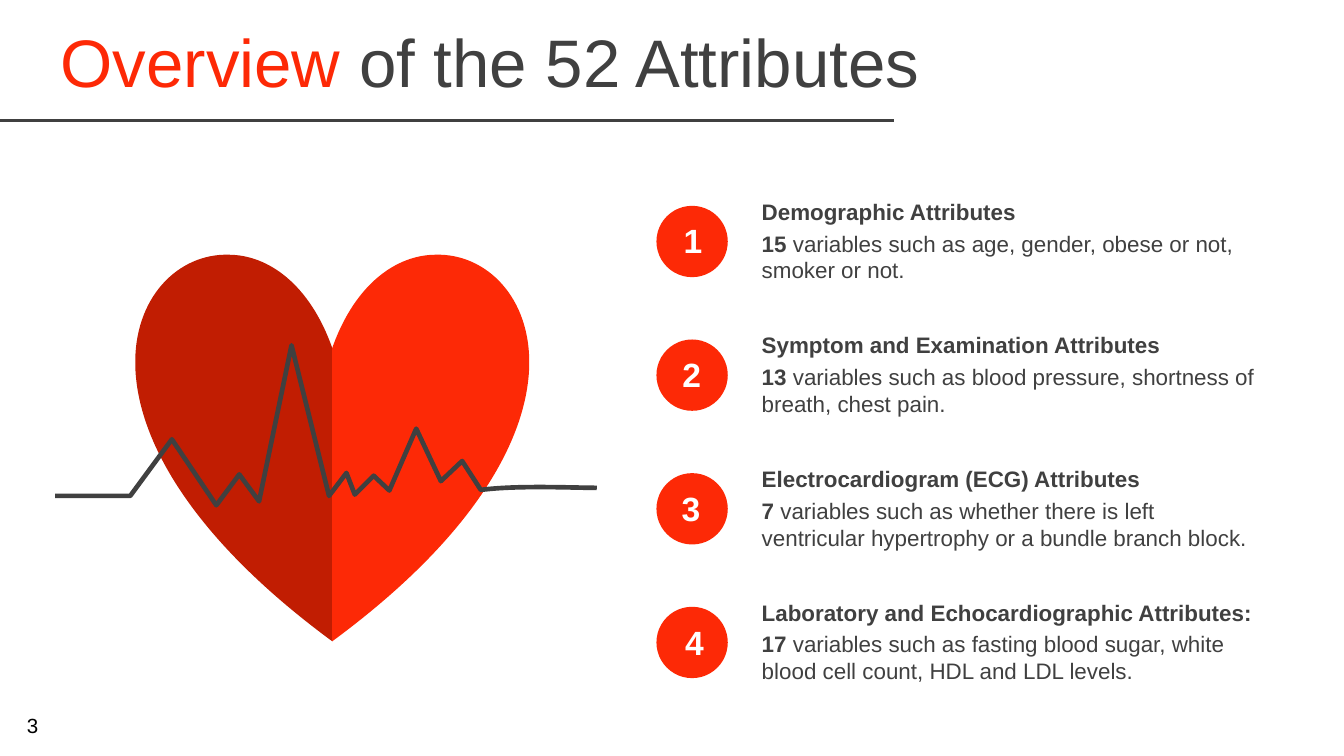
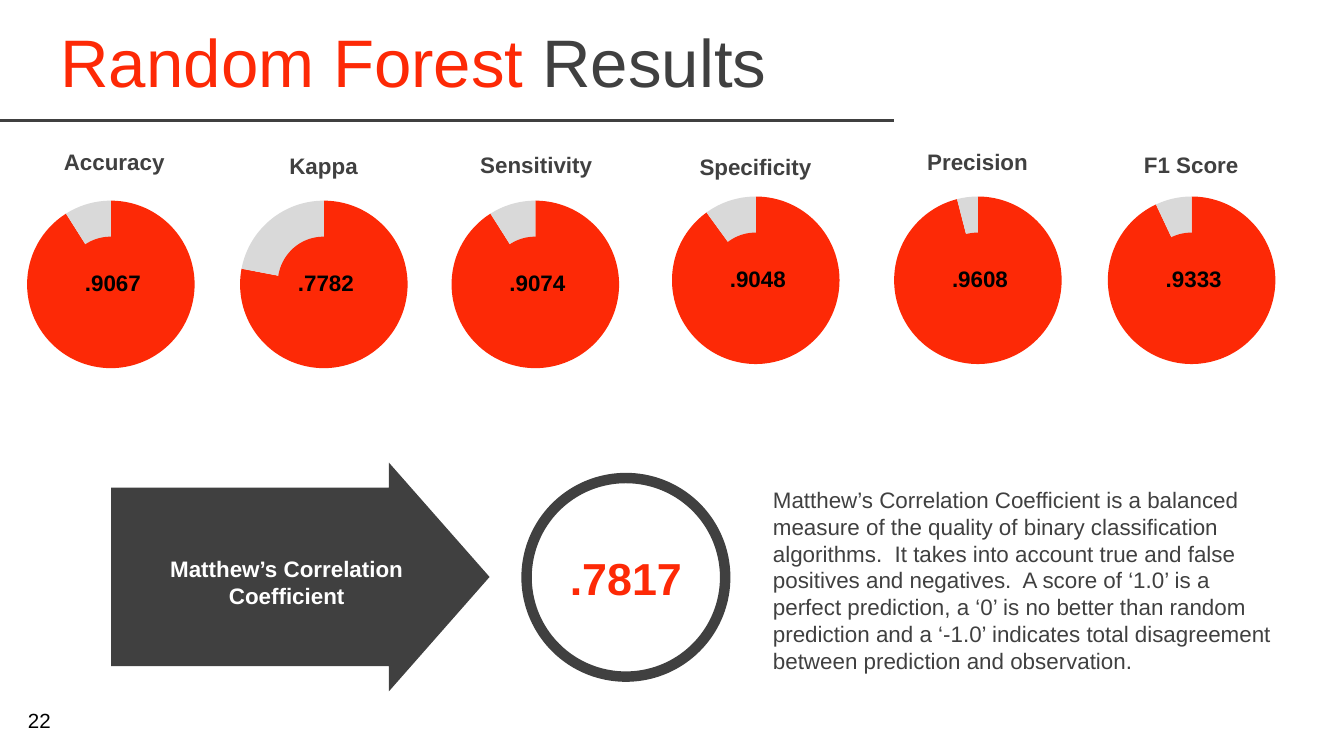
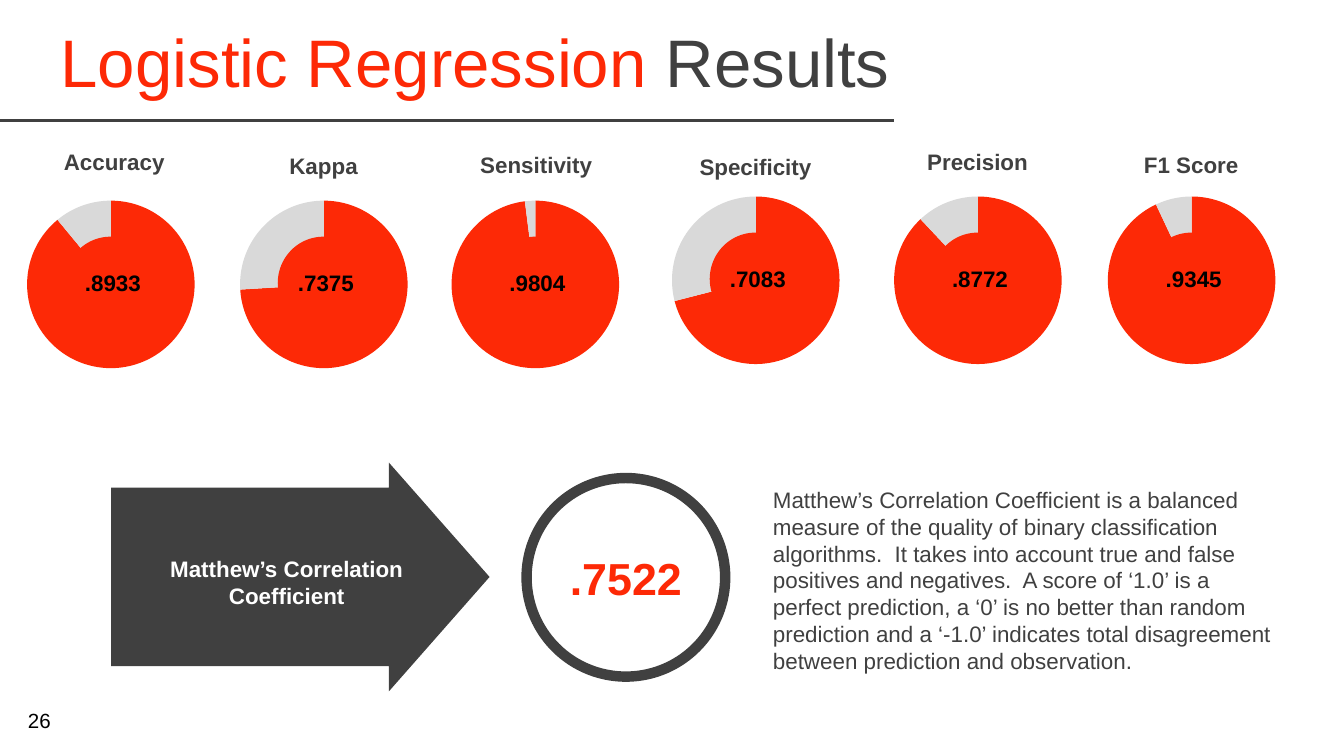
from lxml import etree
from pptx import Presentation
from pptx.chart import data
from pptx.dml.color import RGBColor
from pptx.enum import chart as kinds, shapes, text
from pptx.oxml import ns, parse_xml
from pptx.util import Pt

FONT = "Arial"
RED, DEEP, DARK = "FD2906", "C11D02", "404040"
PALE, WHITE, BLACK = "D9D9D9", "FFFFFF", "000000"
LEFT, MID = text.PP_ALIGN.LEFT, text.PP_ALIGN.CENTER
TOP, HALF = text.MSO_ANCHOR.TOP, text.MSO_ANCHOR.MIDDLE
hue = RGBColor.from_string


def write(shape, parts, size, align=LEFT, anchor=TOP):
    """Fill a shape with one paragraph of (text, colour, bold) parts."""
    frame = shape.text_frame
    frame.word_wrap = True
    frame.auto_size = text.MSO_AUTO_SIZE.NONE
    frame.vertical_anchor = anchor
    para = frame.paragraphs[0]
    para.alignment = align
    for words, tone, bold in parts:
        run = para.add_run()
        run.text = words
        run.font.name, run.font.size, run.font.bold = FONT, Pt(size), bold
        run.font.color.rgb = hue(tone)


def paint(shape, tone):
    """Give a shape a flat fill with no outline and no shadow."""
    shape.shadow.inherit = False
    shape.fill.solid()
    shape.fill.fore_color.rgb = hue(tone)
    shape.line.fill.background()


deck = Presentation()
deck.slide_width, deck.slide_height = Pt(720), Pt(405)
base = deck.slide_layouts[5]

# Two-colour title and page number
heads = [
    ("Overview ", "of the 52 Attributes", 481.7, "3", (7.3, 378.3, 18, 20.2)),
    ("Random Forest ", "Results", 453.6, "22", (7.9, 375.8, 28, 20.9)),
    ("Logistic Regression ", "Results", 465.1, "26", (7.9, 375.8, 28, 20.9)),
]
slides = []
for lead, rest, wide, page, box in heads:
    slide = deck.slides.add_slide(base)
    title = slide.shapes.title
    title.left, title.top, title.width, title.height = map(Pt, (25.2, 9.7, wide, 45.4))
    write(title, [(lead, RED, False), (rest, DARK, False)], 36, LEFT, HALF)
    foot = slide.shapes.add_textbox(*map(Pt, box))
    write(foot, [(page, BLACK, False)], 11)
    slides.append(slide)

# Rule under the title, moved to the shared layout
pool = slides[0].shapes
rule = pool.add_connector(
    shapes.MSO_CONNECTOR.STRAIGHT, Pt(-0.7), Pt(64.4), Pt(478.8), Pt(64.4))
rule.line.color.rgb = hue(DARK)
rule.line.width = Pt(1.5)
etree.SubElement(rule.element.spPr, ns.qn("a:effectLst"))
base.shapes.element.append(rule.element)

# Heart halves, mirrored about the axis; bends lists the lines to curve
axis = 178
bends = []
for side, tone in ((-1, DEEP), (1, RED)):
    start, lobe, flank, tip, c1, c2, c3, c4 = [
        (Pt(axis + side * x), Pt(y)) for x, y in (
            (0, 186.5), (55.6, 136.5), (106, 195), (0, 343.6),
            (12.2, 152), (34.6, 136.5), (109, 135.1), (153.8, 230.4))]
    pen = pool.build_freeform(*start)
    pen.add_line_segments([lobe, flank, tip], close=True)
    half = pen.convert_to_shape()
    paint(half, tone)
    # The flank only sets the width of the outline
    spare = half.element.findall(".//" + ns.qn("a:lnTo"))[1]
    spare.getparent().remove(spare)
    bends += [(half, 0, (c1, c2, lobe)), (half, 1, (c3, c4, tip))]

# Pulse line
beat = [
    (29.5, 265.7), (69.8, 265.7), (92.1, 235.4), (115.9, 270.7), (128.2, 254.2),
    (138.8, 268.6), (156.2, 185), (176.3, 265.7), (185.6, 253.4), (190.1, 265),
    (200.2, 254.9), (208.6, 262.8), (223, 229.7), (236.2, 257.8), (247.6, 247),
    (257.6, 262.5), (319.7, 261.4),
]
dots = [(Pt(x), Pt(y)) for x, y in beat]
pen = pool.build_freeform(*dots[0])
pen.add_line_segments(dots[1:], close=False)
pulse = pen.convert_to_shape()
pulse.shadow.inherit = False
pulse.fill.background()
pulse.line.color.rgb = hue(DARK)
pulse.line.width = Pt(2.5)
bends.append((pulse, -1, ((Pt(277.2), Pt(259.9)), (Pt(307.4), Pt(261.4)), dots[-1])))

# Turn the listed straight lines into Bezier curves
for shape, spot, knots in bends:
    lines = [part for part in shape.element.find(".//" + ns.qn("a:path"))
             if part.tag in (ns.qn("a:lnTo"), ns.qn("a:cubicBezTo"))]
    curve = etree.Element(ns.qn("a:cubicBezTo"))
    for x, y in knots:
        etree.SubElement(curve, ns.qn("a:pt"),
                         x=str(x - shape.left), y=str(y - shape.top))
    lines[spot].getparent().replace(lines[spot], curve)

# Numbered attribute groups
groups = [
    ("Demographic Attributes", "15",
     " variables such as age, gender, obese or not, smoker or not.", 349.6),
    ("Symptom and Examination Attributes", "13",
     " variables such as blood pressure, shortness of breath, chest pain.", 349),
    ("Electrocardiogram (ECG) Attributes", "7",
     " variables such as whether there is left ventricular hypertrophy"
     " or a bundle branch block.", 348.6),
    ("Laboratory and Echocardiographic Attributes:", "17",
     " variables such as fasting blood sugar, white blood cell count,"
     " HDL and LDL levels.", 350.5),
]
for i, (name, count, note, x) in enumerate(groups):
    y = 110.3 + 71.6 * i
    body = pool.add_textbox(Pt(401), Pt(y + 9.2), Pt(279.4), Pt(36.4))
    write(body, [(count, DARK, True), (note, DARK, False)], 12)
    head = pool.add_textbox(Pt(401), Pt(y - 7.8), Pt(279.4), Pt(21.8))
    write(head, [(name, DARK, True)], 12)
    disc = pool.add_shape(shapes.MSO_SHAPE.OVAL, Pt(351.7), Pt(y), Pt(38.2), Pt(38.2))
    paint(disc, RED)
    mark = pool.add_textbox(Pt(x), Pt(114.2 + 71.8 * i), Pt(43.2), Pt(29.1))
    write(mark, [(str(i + 1), WHITE, True)], 18, MID)

# Result slides: six gauges above, correlation coefficient below
gauges = [  # label, label left, label top, label width, chart left, chart top
    ("Accuracy", 24.7, 75.6, 73, 14.5, 105.9),
    ("Kappa", 140.2, 77.8, 66.4, 128.6, 105.9),
    ("Sensitivity", 248, 77.6, 78.5, 241.9, 105.9),
    ("Specificity", 365.5, 78.5, 78.5, 360, 103.7),
    ("Precision", 487.2, 75.6, 73, 479, 103.7),
    ("F1 Score", 605, 77.6, 66.4, 593.5, 103.7),
]
scores = [
    ([".9067", ".7782", ".9074", ".9048", ".9608", ".9333"], ".7817"),
    ([".8933", ".7375", ".9804", ".7083", ".8772", ".9345"], ".7522"),
]
about = (
    "Matthew’s Correlation Coefficient is a balanced measure of the quality of binary "
    "classification algorithms.  It takes into account true and false positives and "
    "negatives.  A score of ‘1.0’ is a perfect prediction, a ‘0’ is no better than "
    "random prediction and a ‘-1.0’ indicates total disagreement between prediction "
    "and observation."
)
layout = (
    f'<c:layout {ns.nsdecls("c")}><c:manualLayout><c:layoutTarget val="inner"/>'
    '<c:xMode val="edge"/><c:yMode val="edge"/><c:x val="0"/><c:y val="0"/>'
    '<c:w val="1"/><c:h val="0.965"/></c:manualLayout></c:layout>'
)
for slide, (values, total) in zip(slides[1:], scores):
    pool = slide.shapes

    # Coefficient arrow, ring and explanation
    arrow = pool.add_shape(
        shapes.MSO_SHAPE.RIGHT_ARROW, Pt(59.5), Pt(247.8), Pt(202.8), Pt(122.6))
    arrow.adjustments[0], arrow.adjustments[1] = 0.78, 0.44
    paint(arrow, DARK)
    name = pool.add_textbox(Pt(76.6), Pt(293.7), Pt(154.1), Pt(36.4))
    write(name, [("Matthew’s Correlation Coefficient", WHITE, True)], 12, MID)
    ring = pool.add_shape(
        shapes.MSO_SHAPE.DONUT, Pt(279.3), Pt(253.3), Pt(112), Pt(112))
    ring.adjustments[0] = 0.05
    paint(ring, DARK)
    score = pool.add_textbox(Pt(294.6), Pt(291.2), Pt(81.4), Pt(36.4))
    write(score, [(total, RED, True)], 24, MID, HALF)
    note = pool.add_textbox(Pt(407), Pt(256.8), Pt(285.1), Pt(108.7))
    write(note, [(about, DARK, False)], 12)

    # Gauges
    for (label, left, high, wide, x, y), value in zip(gauges, values):
        share = round(float(value) * 100)
        table = data.CategoryChartData()
        table.categories = ["1", "2"]
        table.add_series("Series 1", (share, 100 - share))
        chart = pool.add_chart(
            kinds.XL_CHART_TYPE.DOUGHNUT, Pt(x), Pt(y), Pt(89.8), Pt(96.4), table).chart
        chart.has_title = chart.has_legend = False
        chart.font.name, chart.font.size = FONT, Pt(18)
        chart.font.color.rgb = hue(BLACK)
        plot = chart.plots[0]
        plot.vary_by_categories = True
        for i, tone in enumerate((RED, PALE)):
            part = plot.series[0].points[i].format
            part.fill.solid()
            part.fill.fore_color.rgb = hue(tone)
            part.line.fill.background()
        area = chart.element.find(".//" + ns.qn("c:plotArea"))
        for old in area.findall(ns.qn("c:layout")):
            area.remove(old)
        area.insert(0, parse_xml(layout))
        area.find(".//" + ns.qn("c:holeSize")).set("val", "75")

        disc = pool.add_shape(
            shapes.MSO_SHAPE.OVAL, Pt(x + 20.2), Pt(y + 20.9), Pt(49), Pt(49.7))
        paint(disc, RED)
        mark = pool.add_textbox(Pt(x + 21.5), Pt(y + 34.6), Pt(49), Pt(21.8))
        write(mark, [(value, BLACK, True)], 12, MID, HALF)
        head = pool.add_textbox(Pt(left), Pt(high), Pt(wide), Pt(21.8))
        write(head, [(label, DARK, True)], 12, MID)

deck.save("out.pptx")
